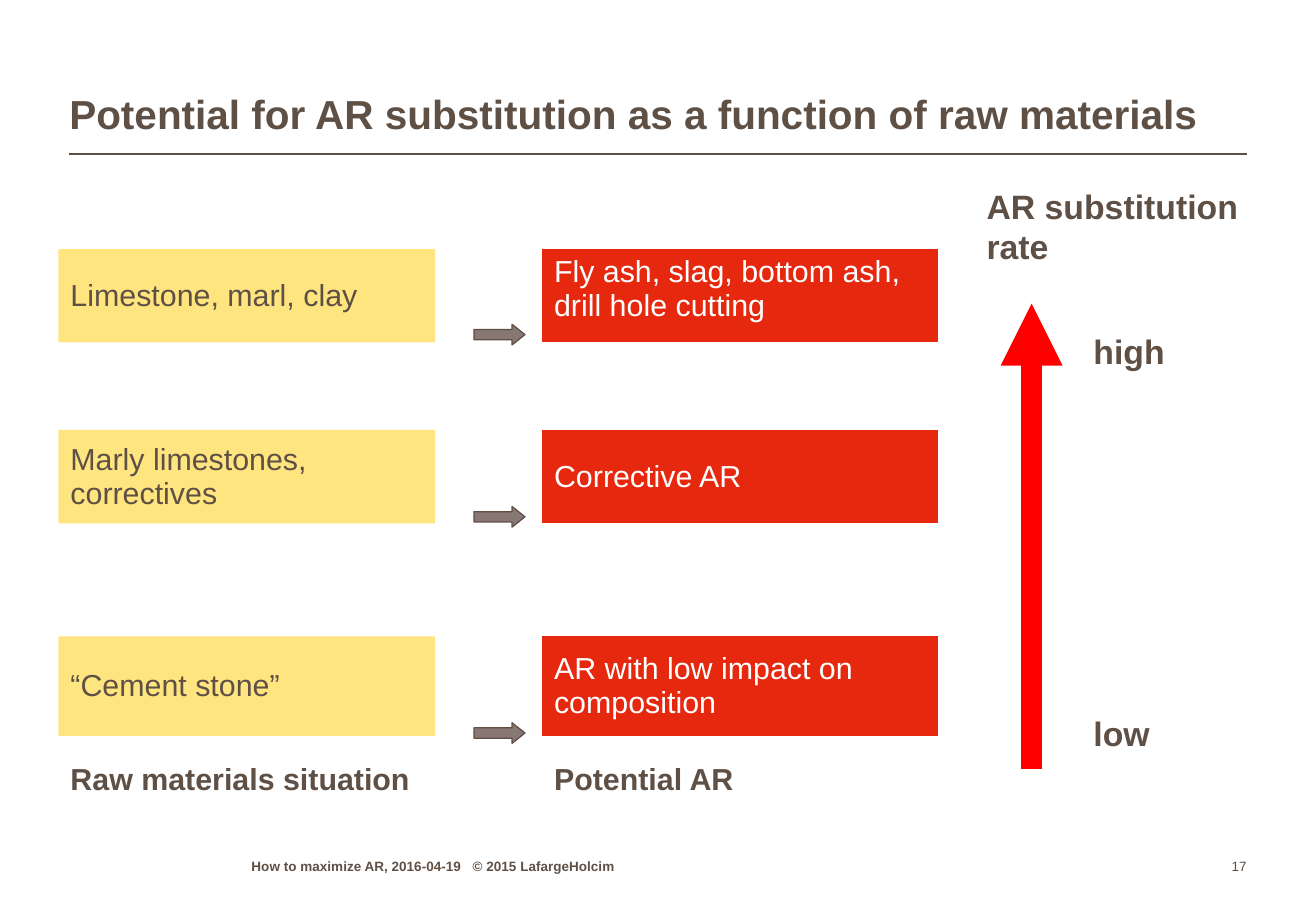
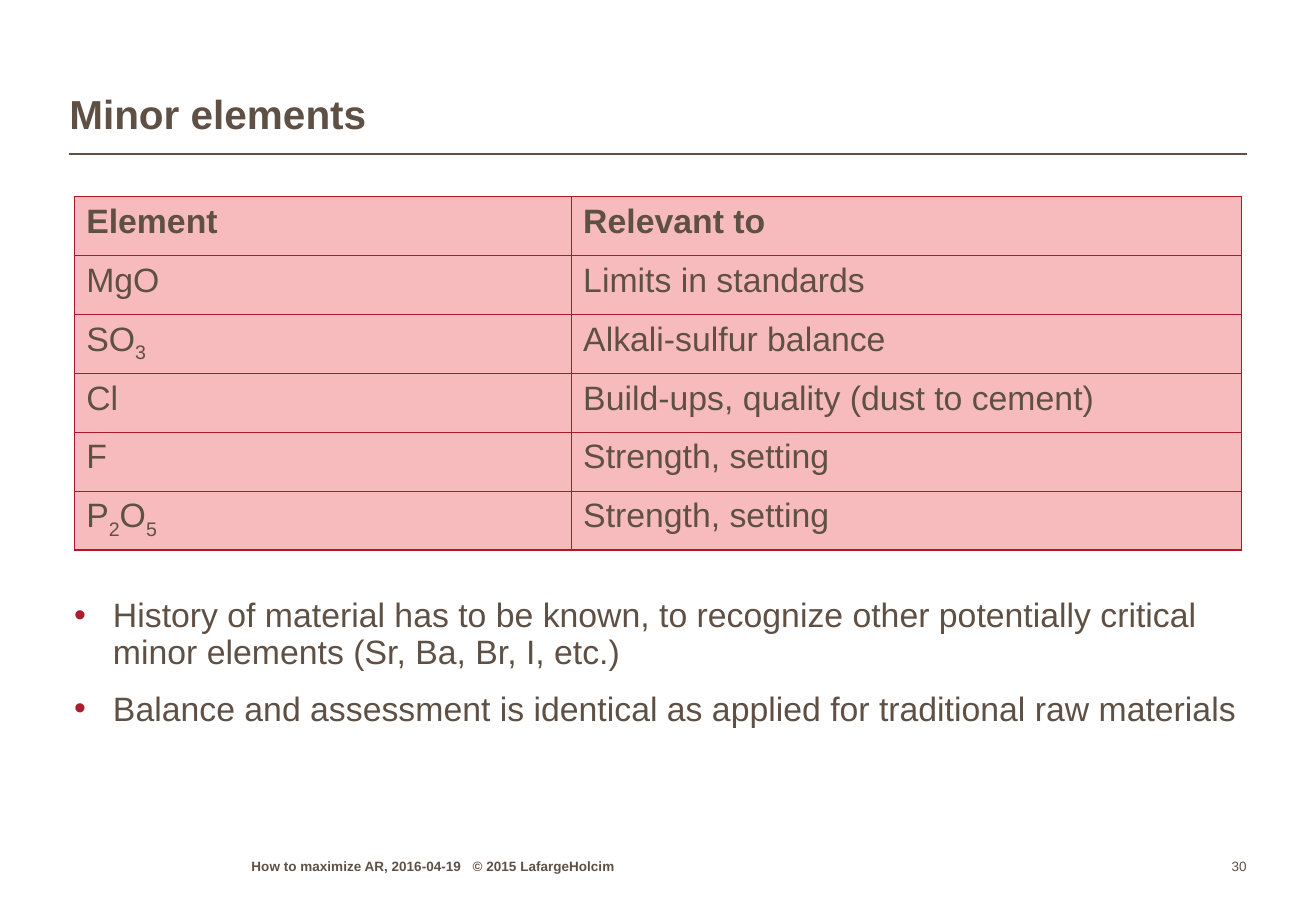
from dataclasses import dataclass
from itertools import groupby

from lxml.etree import SubElement
from pptx import Presentation
from pptx.dml.color import RGBColor
from pptx.enum.shapes import MSO_CONNECTOR as Connector, MSO_SHAPE as Shape
from pptx.enum.text import MSO_ANCHOR as Anchor, MSO_AUTO_SIZE as AutoSize, PP_ALIGN as Align
from pptx.oxml.ns import qn
from pptx.util import Inches, Pt


@dataclass(frozen=True)
class Theme:
    font: str = "Arial"
    text: str = "5F5046"
    white: str = "FFFFFF"
    raw: str = "FFCC00"
    potential: str = "E6280F"
    arrow: str = "877873"
    rate: str = "FF0000"
    cell: str = "F8BBBD"
    border: str = "AA1A29"
    bullet: str = "AA1E2D"
    title_size: int = 24
    body_size: int = 20
    box_size: int = 18
    footer_size: int = 8


THEME = Theme()
WIDTH, HEIGHT = 10.83, 7.5
LEFT, RIGHT = 0.57, 10.26
NO_GRID_STYLE = "{2D5ABB26-0587-4C30-8999-92F81FD0307C}"

# Content
FOOTER = "How to maximize AR, 2016-04-19\t© 2015 LafargeHolcim"
SUBSTITUTION = {
    "title": "Potential for AR substitution as a function of raw materials",
    "number": 17,
    "pairs": [
        ("Limestone, marl, clay", "Fly ash, slag, bottom ash, drill hole cutting"),
        ("Marly limestones, correctives", "Corrective AR"),
        ("“Cement stone”", "AR with low impact on composition"),
    ],
    "captions": ("Raw materials situation", "Potential AR"),
    "columns": (3.1, 0.88, 3.26),
    "rows": (0.77, 0.72, 0.77, 0.93, 0.82, 0.73),
    "arrow_tops": (2.67, 4.17, 5.95),
    "labels": [
        ("AR substitution rate", (8.02, 1.48, 2.42, 0.77)),
        ("high", (8.9, 2.67, 0.83, 0.43)),
        ("low", (8.9, 5.82, 0.83, 0.43)),
    ],
}
MINOR_ELEMENTS = {
    "title": "Minor elements",
    "number": 30,
    "rows": [
        ("Element", "Relevant to"),
        ("MgO", "Limits in standards"),
        ("SO3", "Alkali-sulfur balance"),
        ("Cl", "Build-ups, quality (dust to cement)"),
        ("F", "Strength, setting"),
        ("P2O5", "Strength, setting"),
    ],
    "columns": (4.09, 5.52),
    "bullets": [
        "History of material has to be known, to recognize other potentially "
        "critical minor elements (Sr, Ba, Br, I, etc.)",
        "Balance and assessment is identical as applied for traditional raw materials",
    ],
}


# Helpers
def color(value):
    return RGBColor.from_string(value)


def box(*lengths):
    return [Inches(length) for length in lengths]


def style(text_frame, size, fill=THEME.text, bold=False):
    for paragraph in text_frame.paragraphs:
        for run in paragraph.runs:
            font = run.font
            font.name, font.size, font.bold = THEME.font, Pt(size), bold
            font.color.rgb = color(fill)


def remove_margins(text_frame):
    text_frame.margin_left = text_frame.margin_right = 0
    text_frame.margin_top = text_frame.margin_bottom = 0


def place(shape, *lengths):
    shape.left, shape.top, shape.width, shape.height = box(*lengths)
    remove_margins(shape.text_frame)
    shape.text_frame.auto_size = AutoSize.NONE


def add_text(slide, text, lengths, size, bold=False):
    text_frame = slide.shapes.add_textbox(*box(*lengths)).text_frame
    text_frame.word_wrap = True
    text_frame.text = text
    style(text_frame, size, bold=bold)
    return text_frame


def add_line(slide, start, end, fill, width, arrowhead=False):
    connector = slide.shapes.add_connector(Connector.STRAIGHT, *box(*start, *end))
    connector.line.color.rgb = color(fill)
    connector.line.width = Pt(width)
    if arrowhead:
        SubElement(connector.line._get_or_add_ln(), qn("a:tailEnd"), type="triangle")
    SubElement(connector._element.spPr, qn("a:effectLst"))


def add_table(slide, left, top, columns, rows):
    lengths = box(left, top, sum(columns), sum(rows))
    table = slide.shapes.add_table(len(rows), len(columns), *lengths).table
    table.first_row = table.horz_banding = False
    table._tbl.tblPr.find(qn("a:tableStyleId")).text = NO_GRID_STYLE
    for column, width in zip(table.columns, columns):
        column.width = Inches(width)
    for row, height in zip(table.rows, rows):
        row.height = Inches(height)
    for cell in table.iter_cells():
        cell.fill.background()
    return table


def fill_cell(cell, fill, alpha=None):
    cell.fill.solid()
    cell.fill.fore_color.rgb = color(fill)
    if alpha:
        rgb = cell._tc.tcPr.find(qn("a:solidFill")).find(qn("a:srgbClr"))
        SubElement(rgb, qn("a:alpha"), val=str(alpha * 1000))


def add_borders(cell):
    properties = cell._tc.get_or_add_tcPr()
    for index, side in enumerate(("lnL", "lnR", "lnT", "lnB")):
        line = SubElement(properties, qn("a:" + side), w=str(Pt(0.75)))
        properties.insert(index, line)
        SubElement(SubElement(line, qn("a:solidFill")), qn("a:srgbClr"), val=THEME.border)


def write_formula(paragraph, formula):
    for is_digit, letters in groupby(formula, str.isdigit):
        run = paragraph.add_run()
        run.text = "".join(letters)
        if is_digit:
            run._r.get_or_add_rPr().set("baseline", "-25000")


def add_slide(presentation, layout, content):
    """Title, rule, footer and number shared by all slides."""
    slide = presentation.slides.add_slide(presentation.slide_layouts[layout])
    title = slide.shapes.title
    place(title, LEFT, 0.21, RIGHT - LEFT, 0.93)
    title.text_frame.text = content["title"]
    title.text_frame.vertical_anchor = Anchor.BOTTOM
    paragraph = title.text_frame.paragraphs[0]
    paragraph.alignment, paragraph.line_spacing = Align.LEFT, 0.95
    style(title.text_frame, THEME.title_size, bold=True)
    add_line(slide, (LEFT, 1.27), (RIGHT, 1.27), THEME.text, 1)

    footer = add_text(slide, FOOTER, (2.07, 7.02, 3.47, 0.18), THEME.footer_size, bold=True)
    tabs = SubElement(footer.paragraphs[0]._p.get_or_add_pPr(), qn("a:tabLst"))
    SubElement(tabs, qn("a:tab"), pos=str(Inches(1.82)), algn="l")
    number = add_text(slide, str(content["number"]), (RIGHT - 0.47, 7.02, 0.47, 0.18),
                      THEME.footer_size)
    number.paragraphs[0].alignment = Align.RIGHT
    for text_frame in (footer, number):
        remove_margins(text_frame)
        text_frame.vertical_anchor = Anchor.BOTTOM
    return slide


# Slides
def build_substitution(presentation):
    content = SUBSTITUTION
    slide = add_slide(presentation, 5, content)

    # Raw materials and their potential on every second row, captions last
    table = add_table(slide, 0.48, 2.05, content["columns"], content["rows"])
    last = len(content["rows"]) - 1
    table.cell(last, 0).merge(table.cell(last, 1))
    lines = [(2 * index, pair) for index, pair in enumerate(content["pairs"])]
    for row, texts in lines + [(last, content["captions"])]:
        is_caption = row == last
        for column, text in zip((0, 2), texts):
            cell = table.cell(row, column)
            cell.text_frame.text = text
            cell.vertical_anchor = Anchor.MIDDLE
            on_red = column == 2 and not is_caption
            style(cell.text_frame, THEME.box_size, THEME.white if on_red else THEME.text,
                  bold=is_caption)
            if on_red:
                fill_cell(cell, THEME.potential)
            elif not is_caption:
                fill_cell(cell, THEME.raw, alpha=50)
    table.cell(0, 2).vertical_anchor = Anchor.TOP

    # Arrows between the columns
    for top in content["arrow_tops"]:
        arrow = slide.shapes.add_shape(Shape.RIGHT_ARROW, *box(3.9, top, 0.42, 0.17))
        arrow.adjustments[0], arrow.adjustments[1] = 0.5, 0.625
        arrow.shadow.inherit = False
        arrow.fill.solid()
        arrow.fill.fore_color.rgb = color(THEME.arrow)
        arrow.line.color.rgb = color(THEME.text)
        arrow.line.width = Pt(0.75)

    # Substitution rate scale
    for text, lengths in content["labels"]:
        add_text(slide, text, lengths, THEME.body_size, bold=True)
    add_line(slide, (8.49, 6.33), (8.49, 2.5), THEME.rate, 12.25, arrowhead=True)


def build_minor_elements(presentation):
    content = MINOR_ELEMENTS
    slide = add_slide(presentation, 1, content)
    left, width = 0.61, sum(content["columns"])

    # Bullets
    body = slide.placeholders[1]
    place(body, left, 4.93, width, 2.2)
    body.text_frame.text = "\n".join(content["bullets"])
    for index, paragraph in enumerate(body.text_frame.paragraphs):
        properties = paragraph._p.get_or_add_pPr()
        properties.set("marL", str(Inches(0.32)))
        properties.set("indent", str(-Inches(0.32)))
        SubElement(SubElement(properties, qn("a:buClr")), qn("a:srgbClr"), val=THEME.bullet)
        SubElement(properties, qn("a:buChar"), char="•")
        paragraph.line_spacing = 0.9
        paragraph.space_before = Pt(12 if index else 0)
    style(body.text_frame, THEME.body_size)

    # Table of elements
    rows = content["rows"]
    table = add_table(slide, left, 1.62, content["columns"], [2.91 / len(rows)] * len(rows))
    for row, texts in enumerate(rows):
        for column, text in enumerate(texts):
            cell = table.cell(row, column)
            write_formula(cell.text_frame.paragraphs[0], text)
            style(cell.text_frame, THEME.body_size, bold=row == 0)
            add_borders(cell)
            fill_cell(cell, THEME.cell)


def main():
    presentation = Presentation()
    presentation.slide_width, presentation.slide_height = box(WIDTH, HEIGHT)
    build_substitution(presentation)
    build_minor_elements(presentation)
    presentation.save("out.pptx")


if __name__ == "__main__":
    main()
